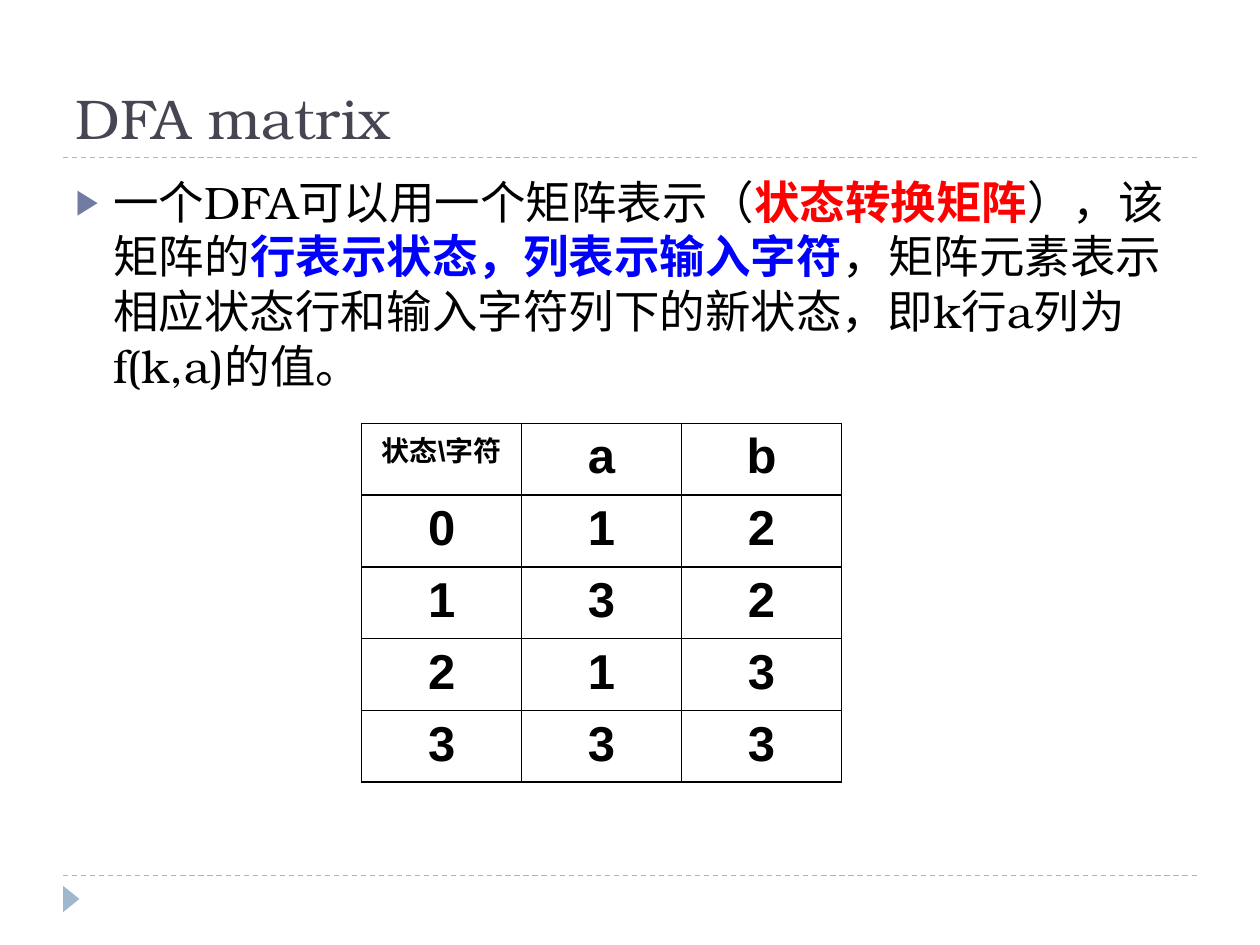
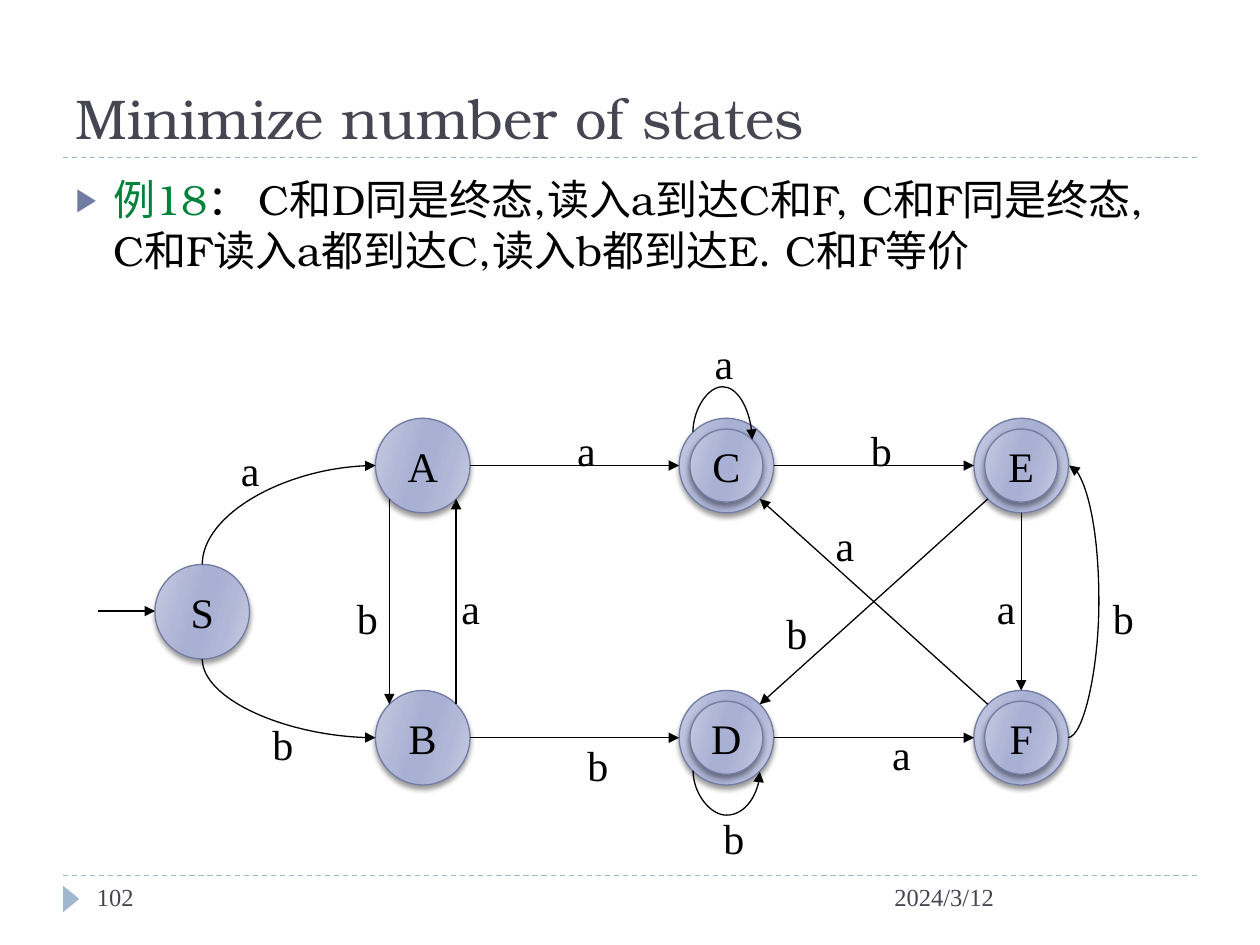
from math import cos, pi, sin

from lxml.etree import SubElement
from pptx import Presentation
from pptx.dml.color import RGBColor
from pptx.enum.dml import MSO_LINE
from pptx.enum.shapes import MSO_CONNECTOR as CXN, MSO_SHAPE as SHAPE
from pptx.enum.text import MSO_ANCHOR as ANCHOR, MSO_AUTO_SIZE as AUTO, PP_ALIGN as ALIGN
from pptx.oxml.ns import qn
from pptx.util import Pt

PX = 9144  # 100 px to the inch
BLACK = RGBColor(0x00, 0x00, 0x00)
RED = RGBColor(0xFF, 0x00, 0x00)
BLUE = RGBColor(0x00, 0x00, 0xFF)
GREEN = RGBColor(0x00, 0x82, 0x3B)
SLATE = RGBColor(0x46, 0x46, 0x53)
BAND = RGBColor(0x9F, 0xB8, 0xCD)
ACCENT = RGBColor(0x72, 0x7C, 0xA3)
STATE_LIGHT = RGBColor(0xC9, 0xCD, 0xE2)
STATE_MID = RGBColor(0xB1, 0xB7, 0xD7)
STATE_DARK = RGBColor(0xA8, 0xB0, 0xD3)
STATE_STOPS = [(0, STATE_LIGHT), (30, STATE_MID), (45, STATE_DARK),
               (55, STATE_DARK), (73, STATE_MID), (100, STATE_LIGHT)]
SERIF = "TeX Gyre Bonum"
TIMES = "Times New Roman"


def write(p, text, size=24, font=TIMES, color=BLACK, bold=False, align=None):
    """Append one formatted run to paragraph p."""
    r = p.add_run()
    r.text = text
    r.font.size, r.font.name, r.font.bold = Pt(size), font, bold
    r.font.color.rgb = color
    if align is not None:
        p.alignment = align


def draw_line(s, kind, ends, color=BLACK, arrow=True):
    """Draw a connector between two points given as x0, y0, x1, y1 in px."""
    c = s.shapes.add_connector(kind, *[round(v * PX) for v in ends])
    c.line.color.rgb = color
    c.line.width = Pt(0.75)
    if arrow:
        SubElement(c.line._get_or_add_ln(), qn("a:tailEnd"), type="triangle")
    SubElement(c._element.spPr, qn("a:effectLst"))
    return c


prs = Presentation()
prs.slide_width, prs.slide_height = 1000 * PX, 750 * PX

# Titles, bulleted text and bands
CONTENT = [
    ("DFA matrix", 26, [
        ("一个DFA可以用一个矩阵表示（", BLACK, False),
        ("状态转换矩阵", RED, True),
        ("），该矩阵的", BLACK, False),
        ("行表示状态，列表示输入字符", BLUE, True),
        ("，矩阵元素表示相应状态行和输入字符列下的新状态，即k行a列为f(k,a)的值。", BLACK, False)]),
    ("Minimize number of states", 24, [
        ("例18", GREEN, False),
        ("： C和D同是终态,读入a到达C和F, C和F同是终态, C和F读入a都到达C,读入b都到达E. C和F等价",
         BLACK, False)]),
]
for title, size, runs in CONTENT:
    s = prs.slides.add_slide(prs.slide_layouts[1])
    for ph, top, height in ((s.shapes.title, 17, 108), (s.placeholders[1], 133, 540)):
        ph.left, ph.top, ph.width, ph.height = 50 * PX, top * PX, 900 * PX, height * PX
        ph.text_frame.auto_size = AUTO.NONE
        ph.text_frame.word_wrap = True
    s.shapes.title.text_frame.vertical_anchor = ANCHOR.BOTTOM
    write(s.shapes.title.text_frame.paragraphs[0], title, 32, SERIF, SLATE, align=ALIGN.LEFT)

    tf = s.placeholders[1].text_frame
    tf.vertical_anchor = ANCHOR.TOP
    p = tf.paragraphs[0]
    pPr = p._p.get_or_add_pPr()
    pPr.set("marL", str(30 * PX))
    pPr.set("indent", str(-30 * PX))
    SubElement(SubElement(pPr, qn("a:buClr")), qn("a:srgbClr"), val=str(ACCENT))
    SubElement(pPr, qn("a:buSzPct"), val="76000")
    SubElement(pPr, qn("a:buChar"), char="▶")
    p.space_before = Pt(0)
    for text, color, bold in runs:
        write(p, text, size, SERIF, color, bold)

    for y in (695, 125):
        band = draw_line(s, CXN.STRAIGHT, (50, y, 950, y), BAND, arrow=False)
        band.line.dash_style = MSO_LINE.DASH
    marker = s.shapes.add_shape(SHAPE.ISOSCELES_TRIANGLE, 46 * PX, 707 * PX, 21 * PX, 13 * PX)
    marker.rotation = 90
    marker.shadow.inherit = False
    marker.fill.solid()
    marker.fill.fore_color.rgb = BAND
    marker.line.fill.background()

matrix_slide, graph_slide = prs.slides

# Transition matrix
ROWS = [("状态\\字符", "a", "b"), "012", "132", "213", "333"]
frame = matrix_slide.shapes.add_table(5, 3, 287 * PX, 336 * PX, 381 * PX, 285 * PX)
table = frame.table
table.first_row = table.horz_banding = False
for i, row in enumerate(ROWS):
    table.rows[i].height = 57 * PX
    for j, text in enumerate(row):
        table.columns[j].width = 127 * PX
        cell = table.cell(i, j)
        tcPr = cell._tc.get_or_add_tcPr()
        for side in ("a:lnL", "a:lnR", "a:lnT", "a:lnB"):
            ln = SubElement(tcPr, qn(side), w=str(Pt(1)))
            SubElement(SubElement(ln, qn("a:solidFill")), qn("a:srgbClr"), val=str(BLACK))
        cell.fill.background()
        write(cell.text_frame.paragraphs[0], text, 16 if i == j == 0 else 28, "Arial",
              bold=True, align=ALIGN.CENTER)

# Footer
s = graph_slide
for text, x, width in (("2024/3/12", 700, 250), ("102", 67, 217)):
    tf = s.shapes.add_textbox(x * PX, 695 * PX, width * PX, 40 * PX).text_frame
    tf.word_wrap = True
    write(tf.paragraphs[0], text, 14, color=SLATE)

# States: final ones get a second, inner circle
STATES = {"C": (539, 332), "D": (539, 548), "B": (298, 548), "A": (298, 332),
          "E": (773, 332), "F": (773, 548), "S": (123, 448)}
circles = {}
for name, (x, y) in STATES.items():
    rings = [(name, x, y, 75)]
    if name in "CDEF":
        rings.append((name + " inner", x + 8.5, y + 8.5, 58))
    for key, left, top, size in rings:
        sp = s.shapes.add_shape(SHAPE.OVAL, *[round(v * PX) for v in (left, top, size, size)])
        sp.fill.gradient()
        sp.fill.gradient_angle = 344
        stops = sp._element.spPr.find(qn("a:gradFill")).find(qn("a:gsLst"))
        for stop in list(stops):
            stops.remove(stop)
        for pos, color in STATE_STOPS:
            gs = SubElement(stops, qn("a:gs"), pos=str(pos * 1000))
            SubElement(gs, qn("a:srgbClr"), val=str(color))
        sp.line.color.rgb = ACCENT
        sp.line.width = Pt(0.75)
        sp.shadow.inherit = False
        shadow = SubElement(sp._element.spPr.find(qn("a:effectLst")), qn("a:outerShdw"),
                            blurRad=str(Pt(3)), dist=str(Pt(2)), dir="5400000", rotWithShape="0")
        SubElement(SubElement(shadow, qn("a:srgbClr"), val=str(BLACK)), qn("a:alpha"), val="40000")
        circles[key] = sp, left + size / 2, top + size / 2, size / 2
    tf = sp.text_frame
    tf.word_wrap = False
    tf.vertical_anchor = ANCHOR.MIDDLE
    write(tf.paragraphs[0], name, align=ALIGN.CENTER)

# Transitions join circle sites, numbered anticlockwise from 0 at the top in steps of 45 degrees.
# A curve adds its preset, rotation, flip and bulge in px.
TRANSITIONS = [
    ("S", 0, "A", 2, ("curvedConnector2", 270, None, None)),
    ("S", 4, "B", 2, ("curvedConnector2", 270, "flipH", None)),
    ("F", 6, "E", 6, ("curvedConnector3", 0, "flipV", 25)),
    ("C", 1, "C inner", 7, ("curvedConnector3", 90, "flipV", -36)),
    ("D", 3, "D", 5, ("curvedConnector3", 270, "flipH", 36)),
    ("B", 7, "A", 5, None),
    ("A", 3, "B", 1, None),
    ("A", 6, "C", 2, None),
    ("B", 6, "D", 2, None),
    ("D", 6, "F", 2, None),
    ("C", 6, "E", 2, None),
    ("E", 4, "F", 0, None),
    ("F", 1, "C", 5, None),
    ("E", 3, "D", 7, None),
]
for start, start_site, end, end_site, curve in TRANSITIONS:
    ends = []
    for key, site in ((start, start_site), (end, end_site)):
        sp, cx, cy, radius = circles[key]
        angle = pi / 2 + site * pi / 4
        ends += [cx + radius * cos(angle), cy - radius * sin(angle)]
    if curve:
        preset, rotation, flip, bulge = curve
        x0, y0, x1, y1 = ends
        w, h = abs(x1 - x0), abs(y1 - y0)
        if rotation:
            w, h = h, w
        w = max(w, 1)
        left, top = (x0 + x1 - w) / 2, (y0 + y1 - h) / 2
        c = draw_line(s, CXN.CURVE, (left, top, left + w, top + h))
        spPr = c._element.spPr
        spPr.xfrm.set("rot", str(rotation * 60000))
        if flip:
            spPr.xfrm.set(flip, "1")
        geom = spPr.find(qn("a:prstGeom"))
        geom.set("prst", preset)
        if bulge:
            SubElement(geom.find(qn("a:avLst")), qn("a:gd"), name="adj1",
                       fmla=f"val {round(bulge / w * 100000)}")
    else:
        c = draw_line(s, CXN.STRAIGHT, ends)
    joints = c._element.nvCxnSpPr.cNvCxnSpPr
    for tag, key, site in (("a:stCxn", start, start_site), ("a:endCxn", end, end_site)):
        SubElement(joints, qn(tag), id=str(circles[key][0].shape_id), idx=str(site))

draw_line(s, CXN.STRAIGHT, (78, 485, 123, 485))

# Input letters beside the transitions
LETTERS = {
    "a": [(181, 348), (356, 457), (448, 332), (781, 457), (698, 573), (653, 407), (557, 263)],
    "b": [(873, 465), (206, 565), (273, 465), (456, 582), (681, 332), (564, 640), (614, 477)],
}
for letter, places in LETTERS.items():
    for x, y in places:
        width = 35 if letter == "a" else 37
        tf = s.shapes.add_textbox(x * PX, y * PX, width * PX, 50 * PX).text_frame
        tf.word_wrap = False
        tf.vertical_anchor = ANCHOR.MIDDLE
        write(tf.paragraphs[0], letter, align=ALIGN.CENTER)

prs.save("out.pptx")
